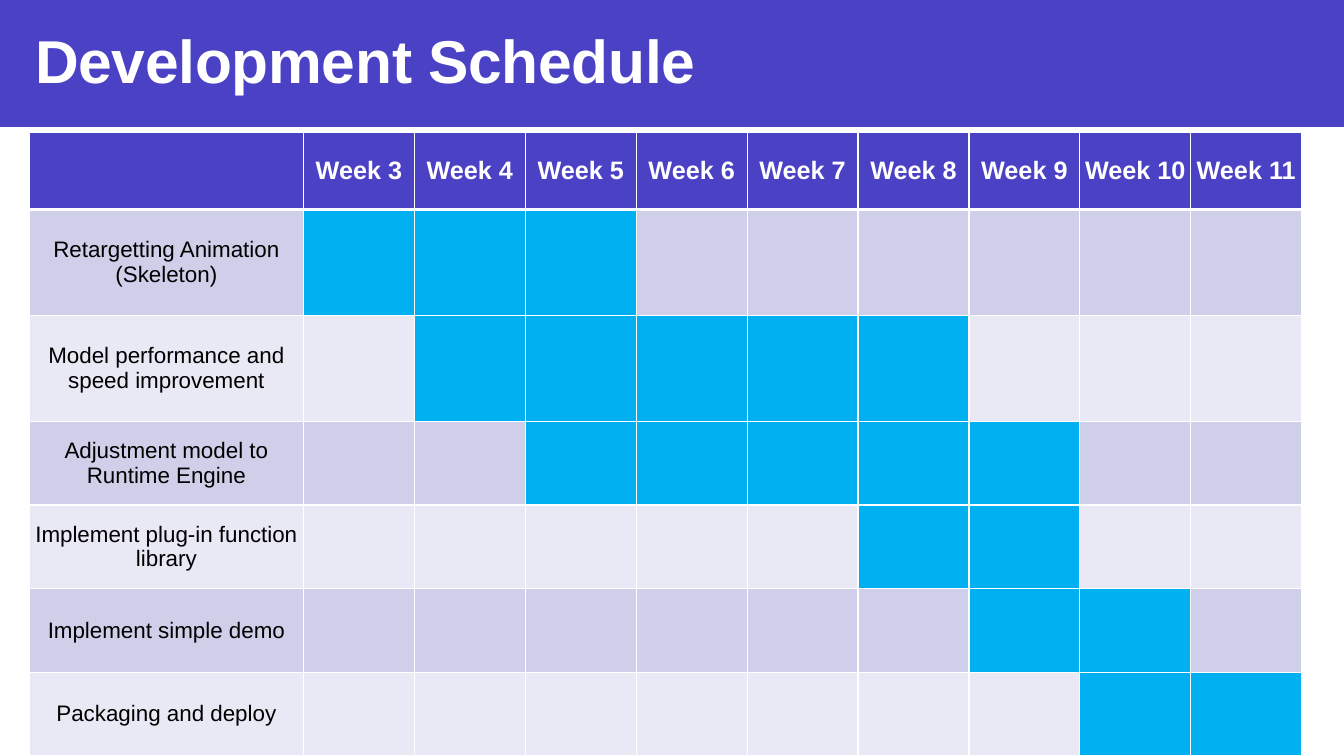
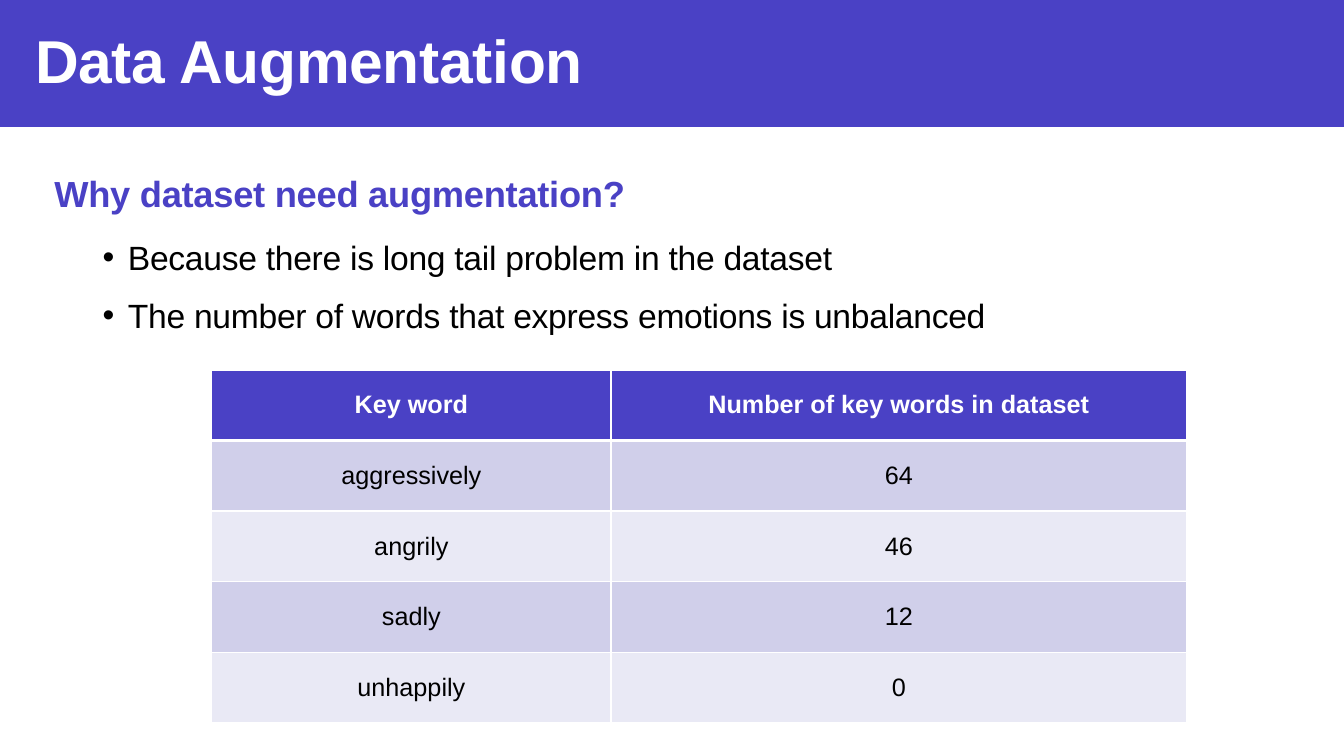
from lxml import etree
from pptx import Presentation
from pptx.dml.color import RGBColor
from pptx.enum.shapes import MSO_SHAPE
from pptx.enum.text import MSO_ANCHOR, PP_ALIGN
from pptx.oxml.ns import qn
from pptx.util import Emu, Pt

RECTANGLE = MSO_SHAPE.RECTANGLE
MIDDLE = MSO_ANCHOR.MIDDLE
CENTER = PP_ALIGN.CENTER

EMU_PER_PX = 9144
SLIDE_WIDTH, SLIDE_HEIGHT = 1333, 750
BAND_HEIGHT = 126

COLORS = {
    "brand": "4A41C5",
    "white": "FFFFFF",
    "black": "000000",
    "odd_row": "D0CFEA",
    "even_row": "E9E9F5",
    "active": "00B0F0",
}

FORMATS = {
    "title": {"size": Pt(43.2), "bold": True, "color": "white"},
    "heading": {"size": Pt(25.9), "bold": True, "color": "brand"},
    "bullet": {"size": Pt(24), "bold": False, "color": "black"},
    "table_head": {"size": Pt(18), "bold": True, "color": "white"},
    "table_body": {"size": Pt(18), "bold": False, "color": "black"},
    "task": {"size": Pt(16), "bold": False, "color": "black"},
}
TIGHT_SPACING = "-20"

WEEKS = range(3, 12)
TASKS = [
    ("Retargetting Animation\n(Skeleton)", 3, 5),
    ("Model performance and speed improvement", 4, 8),
    ("Adjustment model to Runtime Engine", 5, 9),
    ("Implement plug-in function library", 8, 9),
    ("Implement simple demo", 9, 10),
    ("Packaging and deploy", 10, 11),
]
KEY_WORDS = [
    ("Key word", "Number of key words in dataset"),
    ("aggressively", "64"),
    ("angrily", "46"),
    ("sadly", "12"),
    ("unhappily", "0"),
]


def px(length):
    return Emu(length * EMU_PER_PX)


def rgb(name):
    return RGBColor.from_string(COLORS[name])


def paint(target, color):
    target.fill.solid()
    target.fill.fore_color.rgb = rgb(color)


def add_run(paragraph, text, style):
    run = paragraph.add_run()
    run.text = text
    run.font.name = "Arial"
    for attribute, value in FORMATS[style].items():
        if attribute == "color":
            run.font.color.rgb = rgb(value)
        else:
            setattr(run.font, attribute, value)
    return run


def add_bullet(paragraph):
    properties = paragraph._p.get_or_add_pPr()
    properties.set("marL", str(px(25)))
    properties.set("indent", str(px(-25)))
    etree.SubElement(properties, qn("a:buFont")).set("typeface", "Arial")
    etree.SubElement(properties, qn("a:buChar")).set("char", "•")


def add_text(slide, box, lines, style, line_spacing=1.0, bulleted=False):
    shape = slide.shapes.add_textbox(*map(px, box))
    frame = shape.text_frame
    frame.word_wrap = True
    for index, line in enumerate(lines):
        paragraph = frame.add_paragraph() if index else frame.paragraphs[0]
        paragraph.line_spacing = line_spacing
        paragraph.space_before = Pt(10 if index else 0)
        if bulleted:
            add_bullet(paragraph)
        run = add_run(paragraph, line, style)
        run._r.get_or_add_rPr().set("spc", TIGHT_SPACING)
    return shape


def set_borders(cell, widths):
    properties = cell._tc.get_or_add_tcPr()
    for side, width in widths.items():
        line = etree.SubElement(properties, qn(f"a:ln{side}"), w=str(Pt(width)))
        fill = etree.SubElement(line, qn("a:solidFill"))
        etree.SubElement(fill, qn("a:srgbClr")).set("val", COLORS["white"])


def fill_cell(cell, text, style):
    cell.vertical_anchor = MIDDLE
    for side in ("left", "right", "top", "bottom"):
        setattr(cell, f"margin_{side}", 0)
    frame = cell.text_frame
    for index, line in enumerate(text.split("\n") if text else []):
        paragraph = frame.add_paragraph() if index else frame.paragraphs[0]
        paragraph.alignment = CENTER
        add_run(paragraph, line, style)


def add_grid(slide, left, top, widths, heights, rows, body_style):
    box = (left, top, sum(widths), sum(heights))
    table = slide.shapes.add_table(len(rows), len(widths), *map(px, box)).table
    for column, width in zip(table.columns, widths):
        column.width = px(width)
    for row, height in zip(table.rows, heights):
        row.height = px(height)
    for row_index, texts in enumerate(rows):
        is_head = row_index == 0
        color = "brand" if is_head else ("even_row", "odd_row")[row_index % 2]
        borders = {"L": 1, "R": 1, "T": 3 if row_index == 1 else 1, "B": 3 if is_head else 1}
        for column_index, text in enumerate(texts):
            cell = table.cell(row_index, column_index)
            set_borders(cell, borders)
            paint(cell, color)
            fill_cell(cell, text, "table_head" if is_head else body_style)
    return table


def add_titled_slide(presentation, title):
    slide = presentation.slides.add_slide(presentation.slide_layouts[6])
    band = slide.shapes.add_shape(RECTANGLE, 0, 0, px(SLIDE_WIDTH), px(BAND_HEIGHT))
    band.shadow.inherit = False
    paint(band, "brand")
    band.line.fill.background()
    heading = add_text(slide, (25, 17, 1030, 84), [title], "title")
    heading.text_frame.vertical_anchor = MIDDLE
    return slide


def build_schedule(presentation):
    slide = add_titled_slide(presentation, "Development Schedule")
    rows = [["", *(f"Week {week}" for week in WEEKS)]]
    rows += [[name, *("" for _ in WEEKS)] for name, _, _ in TASKS]
    widths = [272] + [110] * len(WEEKS)
    heights = [77] + [105] * 2 + [83] * 4
    table = add_grid(slide, 29, 131, widths, heights, rows, "task")
    for row_index, (_, first, last) in enumerate(TASKS, start=1):
        for week in range(first, last + 1):
            paint(table.cell(row_index, week - WEEKS[0] + 1), "active")


def build_augmentation(presentation):
    slide = add_titled_slide(presentation, "Data Augmentation")
    add_grid(slide, 210, 367, [396, 571], [70] * len(KEY_WORDS), KEY_WORDS, "table_body")
    add_text(slide, (44, 161, 605, 65), ["Why dataset need augmentation?"], "heading", 1.1)
    reasons = [
        "Because there is long tail problem in the dataset",
        "The number of words that express emotions is unbalanced",
    ]
    add_text(slide, (92, 226, 1052, 117), reasons, "bullet", 1.1, bulleted=True)


def main():
    presentation = Presentation()
    presentation.slide_width = px(SLIDE_WIDTH)
    presentation.slide_height = px(SLIDE_HEIGHT)
    build_schedule(presentation)
    build_augmentation(presentation)
    presentation.save("out.pptx")


if __name__ == "__main__":
    main()
